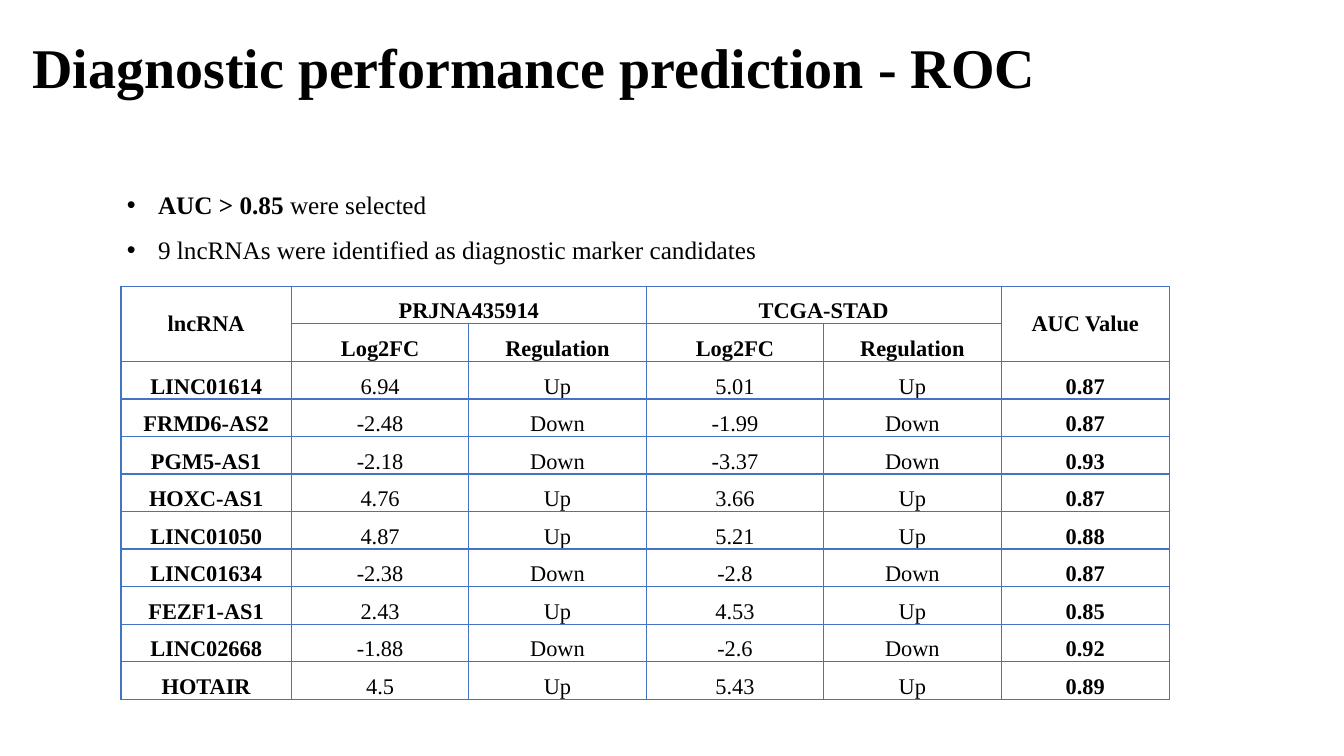
from dataclasses import dataclass

from lxml.etree import SubElement
from pptx import Presentation
from pptx.dml.color import RGBColor
from pptx.enum.text import MSO_ANCHOR, MSO_AUTO_SIZE, PP_ALIGN
from pptx.oxml import parse_xml
from pptx.oxml.ns import nsdecls, qn
from pptx.slide import Slide
from pptx.table import Table, _Cell
from pptx.text.text import _Run
from pptx.util import Inches, Pt

FONT = "Times New Roman"
COLOURS = {"text": "000000", "border": "4472C4"}
COLUMN_WIDTHS = [1.69, 1.76, 1.76, 1.76, 1.76, 1.67]
TABLE_HEIGHT = 4.1
HEADER_ROWS = [
    ["lncRNA", "PRJNA435914", "", "TCGA-STAD", "", "AUC Value"],
    ["", "Log2FC", "Regulation", "Log2FC", "Regulation", ""],
]


@dataclass
class Marker:
    name: str
    prjna_change: str
    tcga_change: str
    auc: str

    def cells(self) -> list[str]:
        return [
            self.name,
            self.prjna_change, regulation(self.prjna_change),
            self.tcga_change, regulation(self.tcga_change),
            self.auc,
        ]


@dataclass
class Bullet:
    bold: str
    plain: str


MARKERS = [
    Marker("LINC01614", "6.94", "5.01", "0.87"),
    Marker("FRMD6-AS2", "-2.48", "-1.99", "0.87"),
    Marker("PGM5-AS1", "-2.18", "-3.37", "0.93"),
    Marker("HOXC-AS1", "4.76", "3.66", "0.87"),
    Marker("LINC01050", "4.87", "5.21", "0.88"),
    Marker("LINC01634", "-2.38", "-2.8", "0.87"),
    Marker("FEZF1-AS1", "2.43", "4.53", "0.85"),
    Marker("LINC02668", "-1.88", "-2.6", "0.92"),
    Marker("HOTAIR", "4.5", "5.43", "0.89"),
]
BULLETS = [
    Bullet("AUC > 0.85 ", "were selected"),
    Bullet("", "9 lncRNAs were identified as diagnostic marker candidates"),
]


def regulation(change: str) -> str:
    return "Down" if float(change) < 0 else "Up"


def format_run(run: _Run, size: int, bold: bool) -> None:
    run.font.name = FONT
    run.font.size = Pt(size)
    run.font.bold = bold
    run.font.color.rgb = RGBColor.from_string(COLOURS["text"])


def add_title(page: Slide) -> None:
    title = page.shapes.title
    title.left, title.top = Inches(0.22), Inches(-0.03)
    title.width, title.height = Inches(11.5), Inches(1.45)
    frame = title.text_frame
    frame.text = "Diagnostic performance prediction - ROC"
    frame.vertical_anchor = MSO_ANCHOR.MIDDLE
    para = frame.paragraphs[0]
    para.alignment = PP_ALIGN.LEFT
    para.line_spacing = 0.9
    format_run(para.runs[0], 40, True)


def add_bullets(page: Slide) -> None:
    box = page.shapes.add_textbox(Inches(0.66), Inches(1.68), Inches(7.3), Inches(1.01))
    frame = box.text_frame
    frame.word_wrap = True
    frame.auto_size = MSO_AUTO_SIZE.SHAPE_TO_FIT_TEXT
    for index, bullet in enumerate(BULLETS):
        para = frame.add_paragraph() if index else frame.paragraphs[0]
        para.level = 1
        para.line_spacing = 1.5
        properties = para._p.get_or_add_pPr()
        properties.set("marL", str(Inches(0.81)))
        properties.set("indent", str(Inches(-0.31)))
        SubElement(properties, qn("a:buFont"), typeface="Arial")
        SubElement(properties, qn("a:buChar"), char="•")
        for text, bold in ((bullet.bold, True), (bullet.plain, False)):
            if text:
                run = para.add_run()
                run.text = text
                format_run(run, 18, bold)


def add_borders(cell: _Cell) -> None:
    """Put the four edge lines ahead of the fill, as the schema requires."""
    properties = cell._tc.get_or_add_tcPr()
    for index, edge in enumerate(("lnL", "lnR", "lnT", "lnB")):
        properties.insert(index, parse_xml(
            f'<a:{edge} {nsdecls("a")} w="{Pt(1)}"><a:solidFill>'
            f'<a:srgbClr val="{COLOURS["border"]}"/></a:solidFill></a:{edge}>'
        ))


def fill_cell(cell: _Cell, text: str, bold: bool) -> None:
    cell.fill.background()
    add_borders(cell)
    cell.margin_left = cell.margin_right = cell.margin_top = Inches(0.01)
    cell.margin_bottom = 0
    cell.vertical_anchor = MSO_ANCHOR.MIDDLE if cell.span_height > 1 else MSO_ANCHOR.BOTTOM
    if text:
        cell.text_frame.text = text
        para = cell.text_frame.paragraphs[0]
        para.alignment = PP_ALIGN.CENTER
        format_run(para.runs[0], 16, bold)


def merge_headers(table: Table) -> None:
    for column in (0, 5):
        table.cell(0, column).merge(table.cell(1, column))
    for column in (1, 3):
        table.cell(0, column).merge(table.cell(0, column + 1))


def add_marker_table(page: Slide) -> None:
    rows = HEADER_ROWS + [marker.cells() for marker in MARKERS]
    table = page.shapes.add_table(
        len(rows), len(COLUMN_WIDTHS), Inches(1.2), Inches(2.84),
        Inches(sum(COLUMN_WIDTHS)), Inches(TABLE_HEIGHT),
    ).table
    table.first_row = table.horz_banding = False
    for column, width in zip(table.columns, COLUMN_WIDTHS):
        column.width = Inches(width)
    merge_headers(table)
    for row_index, texts in enumerate(rows):
        table.rows[row_index].height = Inches(TABLE_HEIGHT / len(rows))
        for column_index, text in enumerate(texts):
            bold = row_index < len(HEADER_ROWS) or column_index in (0, 5)
            fill_cell(table.cell(row_index, column_index), text, bold)


def main() -> None:
    deck = Presentation()
    deck.slide_width, deck.slide_height = Inches(13.33), Inches(7.5)
    page = deck.slides.add_slide(deck.slide_layouts.get_by_name("Title Only"))
    add_title(page)
    add_bullets(page)
    add_marker_table(page)
    deck.save("out.pptx")


if __name__ == "__main__":
    main()
